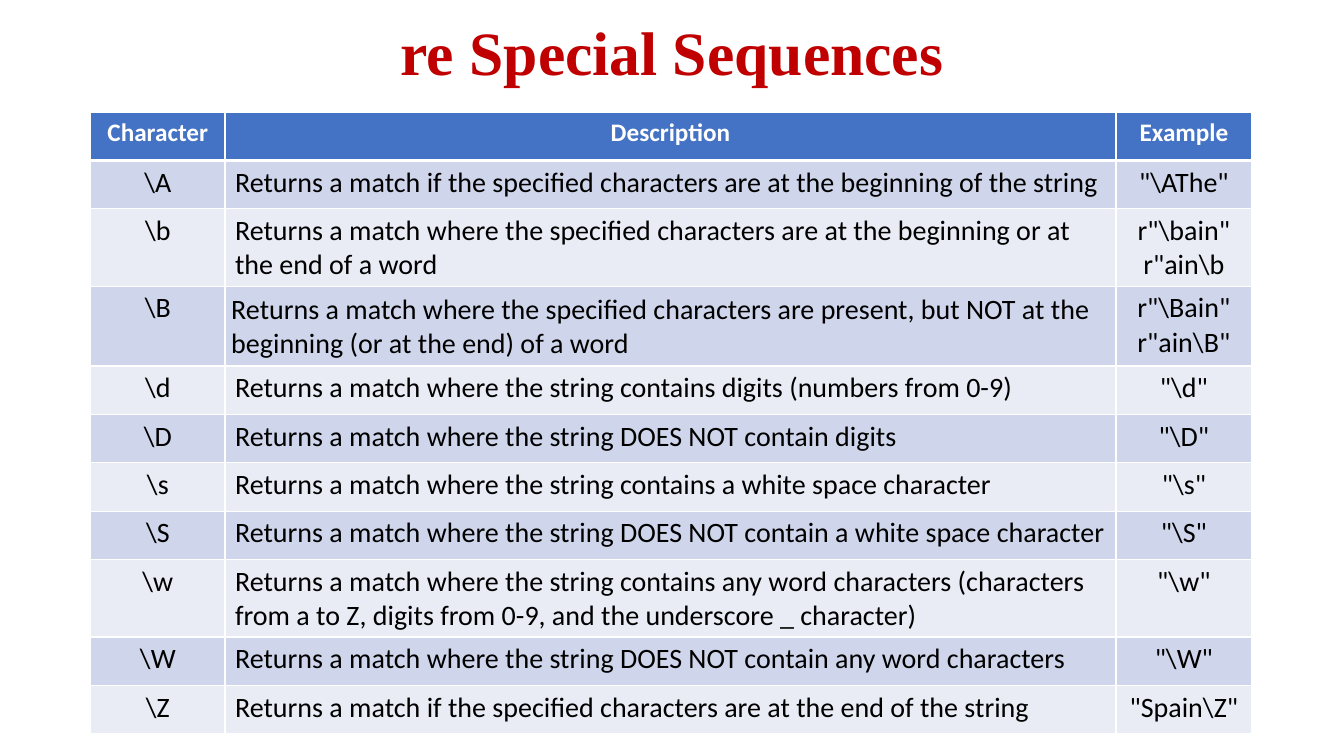
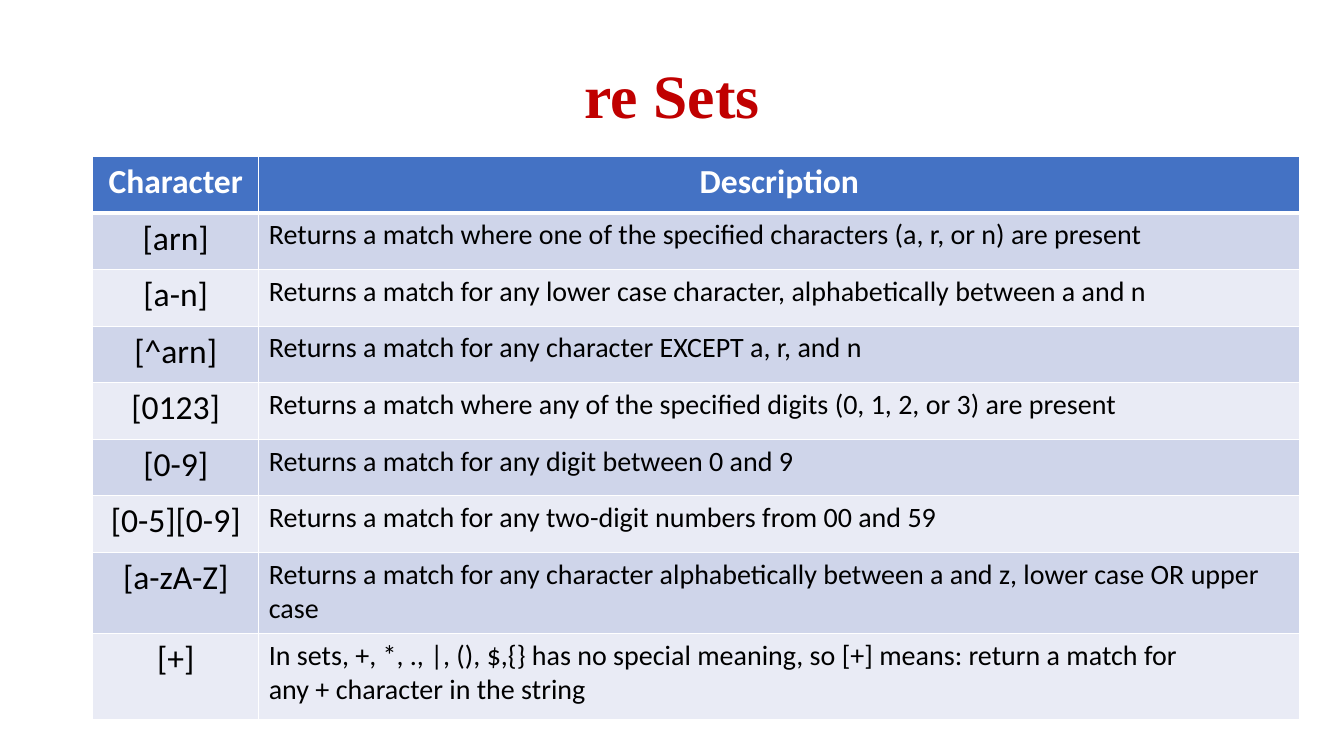
from dataclasses import dataclass

from lxml.etree import SubElement
from pptx import Presentation
from pptx.dml.color import RGBColor
from pptx.enum.text import MSO_ANCHOR, PP_ALIGN
from pptx.oxml.ns import qn
from pptx.slide import Slide
from pptx.table import _Cell
from pptx.text.text import TextFrame
from pptx.util import Pt

COLOURS = {
    "title": "C00000",
    "header": "4472C4",
    "odd": "CFD5EA",
    "even": "E9EBF5",
    "white": "FFFFFF",
    "text": "000000",
}
TITLE_FONT, TABLE_FONT = "Times New Roman", "Calibri"
TITLE_LEFT, TITLE_WIDTH = 66.25, 828
DESCRIPTION_COLUMN = 1
DESCRIPTION_SIZE = 20
HARD_SPACE = chr(160)


@dataclass(frozen=True)
class Row:
    cells: tuple[str, ...]
    height: float
    description_margin: float | None = None


@dataclass(frozen=True)
class TableSlide:
    title: str
    title_top: float
    title_height: float
    left: float
    top: float
    columns: tuple[float, ...]
    header_size: float
    label_size: float
    rows: tuple[Row, ...]


SINGLE, DOUBLE = 34.6, 54
SET_ROW = 40.4

SEQUENCES = TableSlide(
    "re Special Sequences", 0, 80, 64.8, 80, (95.9, 636.5, 97), 18, 20,
    (
        Row(("Character", "Description", "Example"), SINGLE),
        Row((r"\A", "Returns a match if the specified characters are at the beginning of the string",
             r'"\AThe"'), SINGLE),
        Row((r"\b", "Returns a match where the specified characters are at the beginning or at the end of a word",
             'r"\\bain"\nr"ain\\b'), DOUBLE),
        Row((r"\B", "Returns a match where the specified characters are present, but NOT at the beginning "
             "(or at the end) of a word", 'r"\\Bain"\nr"ain\\B"'), 55.6, 4.5),
        Row((r"\d", "Returns a match where the string contains digits (numbers from 0-9)", r'"\d"'), SINGLE),
        Row((r"\D", "Returns a match where the string DOES NOT contain digits", r'"\D"'), SINGLE),
        Row((r"\s", "Returns a match where the string contains a white space character", r'"\s"'), SINGLE),
        Row((r"\S", "Returns a match where the string DOES NOT contain a white space character", r'"\S"'), SINGLE),
        Row((r"\w", "Returns a match where the string contains any word characters (characters from a to Z, "
             "digits from 0-9, and the underscore _ character)", r'"\w"'), DOUBLE),
        Row((r"\W", "Returns a match where the string DOES NOT contain any word characters", r'"\W"'), SINGLE),
        Row((r"\Z", "Returns a match if the specified characters are at the end of the string",
             r'"Spain\Z"'), SINGLE),
    ),
)

SETS = TableSlide(
    "re Sets", 28.8, 82.8, 66.25, 111.8, (118.6, 743.8), 24, 24,
    (
        Row(("Character", "Description"), SET_ROW),
        Row(("[arn]", "Returns a match where one of the specified characters (a,~r, or~n) are present"), SET_ROW),
        Row(("[a-n]", "Returns a match for any lower case character, alphabetically between~a~and~n"), SET_ROW),
        Row(("[^arn]", "Returns a match for any character EXCEPT~a,~r, and~n"), SET_ROW),
        Row(("[0123]", "Returns a match where any of the specified digits (0,~1,~2, or~3) are present"), SET_ROW),
        Row(("[0-9]", "Returns a match for any digit between~0~and~9"), SET_ROW),
        Row(("[0-5][0-9]", "Returns a match for any two-digit numbers from~00~and~59"), SET_ROW),
        Row(("[a-zA-Z]", "Returns a match for any character alphabetically between~a~and~z, "
             "lower case OR upper case"), 58),
        Row(("[+]", "In sets,~+,~*,~.,~|,~(),~$,{}~has no special meaning, so~[+]~means: "
             "return a match for any~+~character in the string"), 61.8),
    ),
)


def write_text(frame: TextFrame, text: str, *, size: float, colour: str, font: str = TABLE_FONT,
               bold: bool = False, align: PP_ALIGN = PP_ALIGN.CENTER, spacing: float = 1.0) -> None:
    """Fill a text frame with one formatted paragraph, where ~ stands for a hard space."""
    paragraph = frame.paragraphs[0]
    paragraph.text = text.replace("~", HARD_SPACE)
    paragraph.alignment = align
    paragraph.line_spacing = spacing
    for run in paragraph.runs:
        run.font.name = font
        run.font.size = Pt(size)
        run.font.bold = bold
        run.font.color.rgb = RGBColor.from_string(COLOURS[colour])


def style_cell(cell: _Cell, fill: str, top: float, bottom: float) -> None:
    """Give a cell white borders and a solid fill."""
    properties = cell._tc.get_or_add_tcPr()
    for side, width in (("L", 1), ("R", 1), ("T", top), ("B", bottom)):
        line = SubElement(properties, qn(f"a:ln{side}"), w=str(Pt(width)))
        solid = SubElement(line, qn("a:solidFill"))
        SubElement(solid, qn("a:srgbClr"), val=COLOURS["white"])
    cell.fill.solid()
    cell.fill.fore_color.rgb = RGBColor.from_string(COLOURS[fill])


def add_title(slide: Slide, content: TableSlide) -> None:
    """Add the centred slide title."""
    shape = slide.shapes.add_textbox(Pt(TITLE_LEFT), Pt(content.title_top),
                                     Pt(TITLE_WIDTH), Pt(content.title_height))
    shape.text_frame.word_wrap = True
    shape.text_frame.vertical_anchor = MSO_ANCHOR.MIDDLE
    write_text(shape.text_frame, content.title, size=44, colour="title", font=TITLE_FONT, bold=True, spacing=0.9)


def fill_cell(cell: _Cell, content: TableSlide, row_index: int, column_index: int) -> None:
    """Style one table cell and write its text."""
    row = content.rows[row_index]
    text = row.cells[column_index]
    if row_index == 0:
        style_cell(cell, "header", 1, 3)
        write_text(cell.text_frame, text, size=content.header_size, colour="white", bold=True)
        return
    style_cell(cell, "odd" if row_index % 2 else "even", 3 if row_index == 1 else 1, 1)
    if column_index != DESCRIPTION_COLUMN:
        write_text(cell.text_frame, text, size=content.label_size, colour="text")
        return
    write_text(cell.text_frame, text, size=DESCRIPTION_SIZE, colour="text", align=PP_ALIGN.LEFT)
    if row.description_margin is not None:
        margin = Pt(row.description_margin)
        cell.margin_left = cell.margin_right = cell.margin_top = cell.margin_bottom = margin


def add_reference_table(slide: Slide, content: TableSlide) -> None:
    """Add the table with its header and banded rows."""
    height = sum(row.height for row in content.rows)
    table = slide.shapes.add_table(len(content.rows), len(content.columns), Pt(content.left), Pt(content.top),
                                   Pt(sum(content.columns)), Pt(height)).table
    for column, width in zip(table.columns, content.columns):
        column.width = Pt(width)
    for row_index, row in enumerate(content.rows):
        table.rows[row_index].height = Pt(row.height)
        for column_index in range(len(content.columns)):
            fill_cell(table.cell(row_index, column_index), content, row_index, column_index)


def main() -> None:
    """Build and save the presentation."""
    presentation = Presentation()
    presentation.slide_width, presentation.slide_height = Pt(960), Pt(540)
    for content in (SEQUENCES, SETS):
        slide = presentation.slides.add_slide(presentation.slide_layouts[6])
        add_title(slide, content)
        add_reference_table(slide, content)
    presentation.save("out.pptx")


if __name__ == "__main__":
    main()
